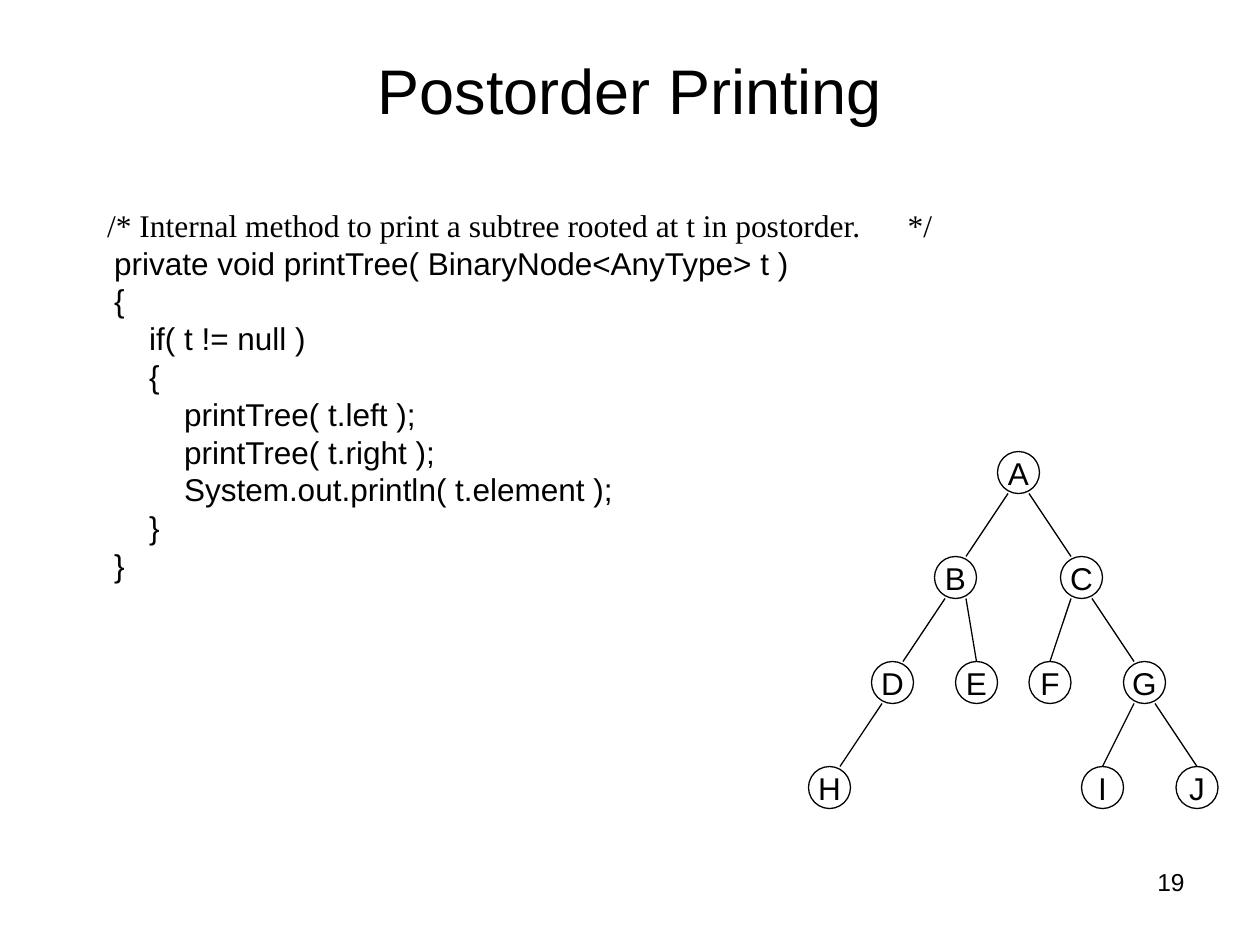
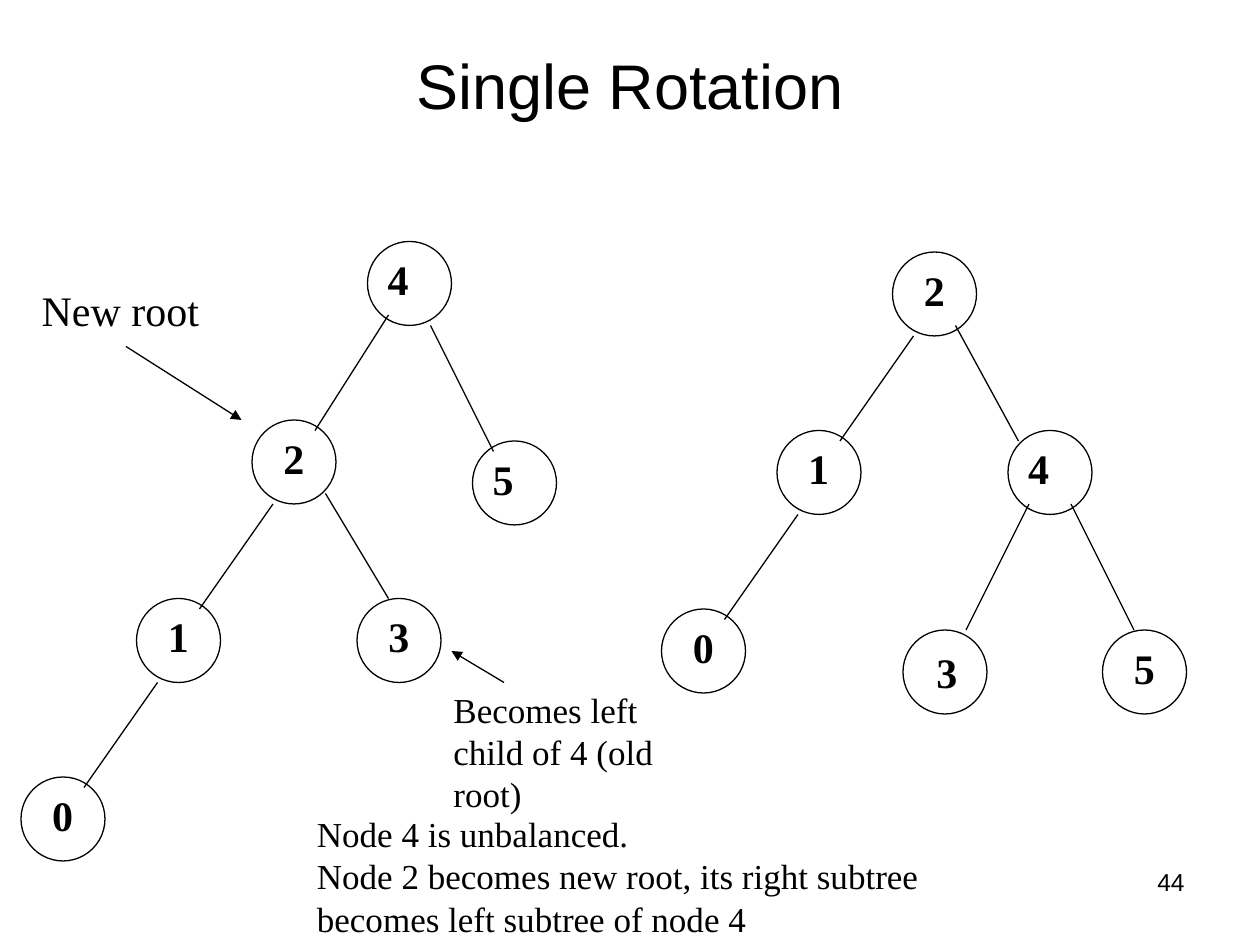
from pptx import Presentation
from pptx.util import Pt
from pptx.dml.color import RGBColor
from pptx.enum.shapes import MSO_SHAPE, MSO_CONNECTOR
from pptx.enum.text import PP_ALIGN, MSO_ANCHOR
from pptx.oxml.ns import qn
from lxml import etree

OVAL, STRAIGHT = MSO_SHAPE.OVAL, MSO_CONNECTOR.STRAIGHT
LEFT, CENTER, RIGHT = PP_ALIGN.LEFT, PP_ALIGN.CENTER, PP_ALIGN.RIGHT
MIDDLE, TOP = MSO_ANCHOR.MIDDLE, MSO_ANCHOR.TOP
SANS, SERIF = "Arial", "Times New Roman"
BLACK = "000000"
color = RGBColor.from_string


def write(sp, lines, size, font, align=LEFT, anchor=TOP, bold=False, wrap=True):
    tf = sp.text_frame
    tf.word_wrap = wrap
    tf.vertical_anchor = anchor
    for i, line in enumerate(lines):
        p = tf.paragraphs[0] if i == 0 else tf.add_paragraph()
        p.alignment = align
        p.line_spacing = Pt(size * 1.2)
        r = p.add_run()
        r.text = line
        r.font.size, r.font.name, r.font.bold = Pt(size), font, bold
        r.font.color.rgb = color(BLACK)
    return tf


def draw(shapes, box=None, line=None, arrow=False):
    if box:
        sp = shapes.add_shape(OVAL, *map(Pt, box))
        sp.shadow.inherit = False
        sp.fill.background()
    else:
        sp = shapes.add_connector(STRAIGHT, *map(Pt, line))
        etree.SubElement(sp._element.spPr, qn("a:effectLst"))
    sp.line.color.rgb = color(BLACK)
    sp.line.width = Pt(0.75)
    if arrow:
        etree.SubElement(sp.line._get_or_add_ln(), qn("a:tailEnd"), type="triangle")
    return sp


prs = Presentation()
prs.slide_width, prs.slide_height = Pt(720), Pt(540)

slides = []
for title, number, height in [("Postorder Printing", "19", 66), ("Single Rotation", "44", 60)]:
    s = prs.slides.add_slide(prs.slide_layouts[5])
    sp = s.shapes.title
    sp.left, sp.top, sp.width, sp.height = Pt(54), Pt(18), Pt(612), Pt(height)
    write(sp, [title], 36, SANS, CENTER, MIDDLE)
    sp = s.shapes.add_textbox(Pt(516), Pt(492), Pt(168), Pt(37.5))
    write(sp, [number], 14, SANS, RIGHT)
    slides.append(s)
printing, rotation = slides

code = [
    (0, "/* Internal method to print a subtree rooted at t in postorder.\t*/"),
    (4, "private void printTree( BinaryNode<AnyType> t )"),
    (4, "{"),
    (24, "if( t != null )"),
    (24, "{"),
    (44, "printTree( t.left );"),
    (44, "printTree( t.right );"),
    (44, "System.out.println( t.element );"),
    (24, "}"),
    (4, "}"),
]
sp = printing.shapes.add_textbox(Pt(18), Pt(114), Pt(636), Pt(223))
tf = write(sp, [text for indent, text in code], 18, SANS)
tf.margin_left = Pt(43.2)
for p, (indent, text) in zip(tf.paragraphs, code):
    p._p.get_or_add_pPr().set("marL", str(Pt(indent)))
comment = tf.paragraphs[0]
comment.runs[0].font.name = SERIF
tabs = etree.SubElement(comment._p.pPr, qn("a:tabLst"))
etree.SubElement(tabs, qn("a:tab"), pos=str(Pt(457.5)), algn="l")

NODE = 24
nodes = {
    "A": (570, 258), "B": (534, 318), "C": (606, 318), "D": (498, 378),
    "E": (546, 378), "F": (588, 378), "G": (642, 378), "H": (462, 438),
    "I": (618, 438), "J": (672, 438),
}
tree = printing.shapes.add_group_shape().shapes
for name, (x, y) in nodes.items():
    sp = draw(tree, box=(x, y, NODE, NODE))
    tf = write(sp, [name], 18, SANS, CENTER, MIDDLE, wrap=False)
    tf.margin_left = tf.margin_right = tf.margin_top = tf.margin_bottom = 0

edges = [("AB", 18), ("BD", 18), ("DH", 18), ("AC", 6), ("CG", 6),
         ("GJ", 12), ("BE", 12), ("CF", 12), ("GI", 12)]
for (parent, child), end in edges:
    px, py = nodes[parent]
    cx, cy = nodes[child]
    start = 6 if cx < px else 18
    draw(tree, line=(px + start, py + NODE, cx + end, cy))

before = [("4", 210, 138, 4.5, 3.4), ("2", 144, 240, 10.8, 3.4), ("3", 204, 342, 10.8, 3.4),
          ("1", 78, 342, 10.8, 3.4), ("5", 270, 252, 4.5, 3.4), ("0", 12, 444, 10.8, 3.4)]
after = [("4", 576, 246, 4.5, 3.4), ("2", 510, 144, 10.8, 3.4), ("3", 516, 360, 12, 5.8),
         ("1", 444, 246, 10.8, 3.4), ("5", 630, 360, 10.8, 3.4), ("0", 378, 348, 10.8, 3.4)]
for name, x, y, dx, dy in before + after:
    draw(rotation.shapes, box=(x, y, 48, 48))
    sp = rotation.shapes.add_textbox(Pt(x + dx), Pt(y + dy), Pt(26.6), Pt(36))
    write(sp, [name], 24, SERIF, bold=True, wrap=False)

links = [
    (222, 180, 180, 246), (156, 288, 114, 348), (246, 186, 282, 258),
    (186, 282, 222, 342), (90, 390, 48, 450),
    (582, 252, 546, 186), (522, 192, 480, 252), (612, 288, 648, 360),
    (588, 288, 552, 360), (456, 294, 414, 354),
]
for link in links:
    draw(rotation.shapes, line=link)
for pointer in [(72, 198, 138, 240), (288, 390, 258, 372)]:
    draw(rotation.shapes, line=pointer, arrow=True)

notes = [
    ((174, 461, 387, 79), 20, ["Node 4 is unbalanced.",
     "Node 2 becomes new root, its right subtree becomes left subtree of node 4"]),
    ((16.7, 159, 108, 36), 24, ["New root"]),
    ((252, 390, 165, 55), 20, ["Becomes left ", "child of 4 (old root)"]),
]
for box, size, lines in notes:
    write(rotation.shapes.add_textbox(*map(Pt, box)), lines, size, SERIF)

prs.save("out.pptx")
